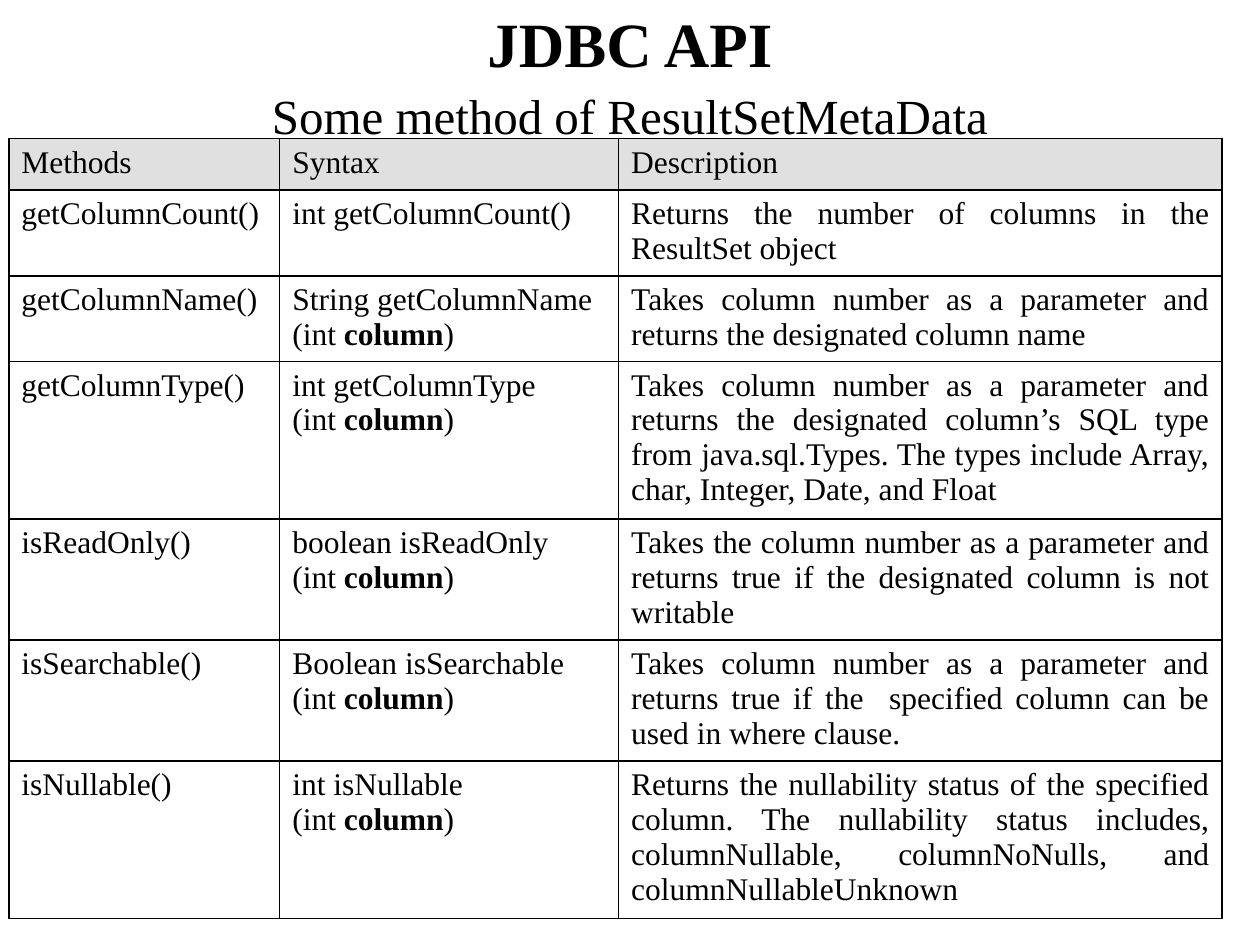
"""Builds a slide that lists the ResultSetMetaData methods in a table."""
from lxml import etree
from pptx import Presentation
from pptx import util as u
from pptx.dml.color import RGBColor
from pptx.enum import text
from pptx.oxml import ns

BLACK = RGBColor(0x00, 0x00, 0x00)
HEADER_GREY = RGBColor(0xE0, 0xE0, 0xE0)
LEFT, CENTER, JUSTIFY = (text.PP_ALIGN.LEFT, text.PP_ALIGN.CENTER,
                         text.PP_ALIGN.JUSTIFY)

HEADERS = ["Methods", "Syntax", "Description"]
METHODS = [
    ("getColumnCount", "int", False,
     "Returns the number of columns in the ResultSet object"),
    ("getColumnName", "String", True,
     "Takes column number as a parameter and returns the designated column name"),
    ("getColumnType", "int", True,
     "Takes column number as a parameter and returns the designated column’s SQL "
     "type from java.sql.Types. The types include Array, char, Integer, Date, and Float"),
    ("isReadOnly", "boolean", True,
     "Takes the column number as a parameter and returns true if the designated "
     "column is not writable"),
    ("isSearchable", "Boolean", True,
     "Takes column number as a parameter and returns true if the  specified column "
     "can be used in where clause."),
    ("isNullable", "int", True,
     "Returns the nullability status of the specified column. The nullability status "
     "includes, columnNullable, columnNoNulls, and columnNullableUnknown"),
]
COLUMN_WIDTHS = [2.15, 2.69, 4.79]
ROW_HEIGHTS = [0.41, 0.68, 0.68, 1.25, 0.96, 0.96, 1.25]


class SlideBuilder:
    font = "Times New Roman"
    body_size = 18

    def __init__(self, slide):
        self.slide = slide

    def add_runs(self, paragraph, runs, align):
        paragraph.alignment = align
        for content, size, bold in runs:
            if content == "\n":
                paragraph.add_line_break()
                continue
            run = paragraph.add_run()
            run.text = content
            run.font.name = self.font
            run.font.size = u.Pt(size)
            run.font.bold = bold
            run.font.color.rgb = BLACK

    def title(self, runs, left, top, width, height):
        box = self.slide.shapes.add_textbox(*map(u.Inches, (left, top, width, height)))
        frame = box.text_frame
        frame.word_wrap = True
        frame.vertical_anchor = text.MSO_ANCHOR.MIDDLE
        paragraph = frame.paragraphs[0]
        paragraph.line_spacing = 1.1
        self.add_runs(paragraph, runs, CENTER)

    def table(self, left, top, widths, heights):
        table = self.slide.shapes.add_table(
            len(heights), len(widths), u.Inches(left), u.Inches(top),
            u.Inches(sum(widths)), u.Inches(sum(heights))).table
        table.first_row = table.horz_banding = False
        for column, width in zip(table.columns, widths):
            column.width = u.Inches(width)
        for row, height in zip(table.rows, heights):
            row.height = u.Inches(height)
        return table

    def cell(self, cell, runs, align, fill=None, hanging=0):
        self.borders(cell)
        if fill is None:
            cell.fill.background()
        else:
            cell.fill.solid()
            cell.fill.fore_color.rgb = fill
        paragraph = cell.text_frame.paragraphs[0]
        sized = [(content, self.body_size, bold) for content, bold in runs]
        self.add_runs(paragraph, sized, align)
        if hanging:
            properties = paragraph._p.get_or_add_pPr()
            properties.set("marL", str(u.Inches(hanging)))
            properties.set("indent", str(-u.Inches(hanging)))

    def borders(self, cell):
        properties = cell._tc.get_or_add_tcPr()
        for side in ("lnL", "lnR", "lnT", "lnB"):
            line = etree.SubElement(properties, ns.qn(f"a:{side}"), w=str(u.Pt(1)))
            fill = etree.SubElement(line, ns.qn("a:solidFill"))
            etree.SubElement(fill, ns.qn("a:srgbClr"), val=str(BLACK))


def syntax_runs(name, result, takes_column):
    if not takes_column:
        return [(f"{result} {name}()", False)]
    return [(f"{result} {name}", False), ("\n", False), ("(int ", False),
            ("column", True), (")", False)]


def main():
    presentation = Presentation()
    presentation.slide_width = u.Inches(10)
    presentation.slide_height = u.Inches(7.5)
    builder = SlideBuilder(presentation.slides.add_slide(presentation.slide_layouts[6]))

    table = builder.table(0.07, 1.1, COLUMN_WIDTHS, ROW_HEIGHTS)
    for column, header in enumerate(HEADERS):
        builder.cell(table.cell(0, column), [(header, False)], JUSTIFY,
                     HEADER_GREY, hanging=0.38)
    for row, (name, result, takes_column, description) in enumerate(METHODS, 1):
        builder.cell(table.cell(row, 0), [(f"{name}()", False)],
                     JUSTIFY if takes_column else LEFT)
        builder.cell(table.cell(row, 1), syntax_runs(name, result, takes_column), LEFT)
        builder.cell(table.cell(row, 2), [(description, False)], JUSTIFY)

    builder.title([("JDBC API", 36, True), ("\n", 36, True),
                   ("Some method of ResultSetMetaData", 28, False)],
                  0.5, -0.09, 9, 1.3)
    presentation.save("out.pptx")


main()
